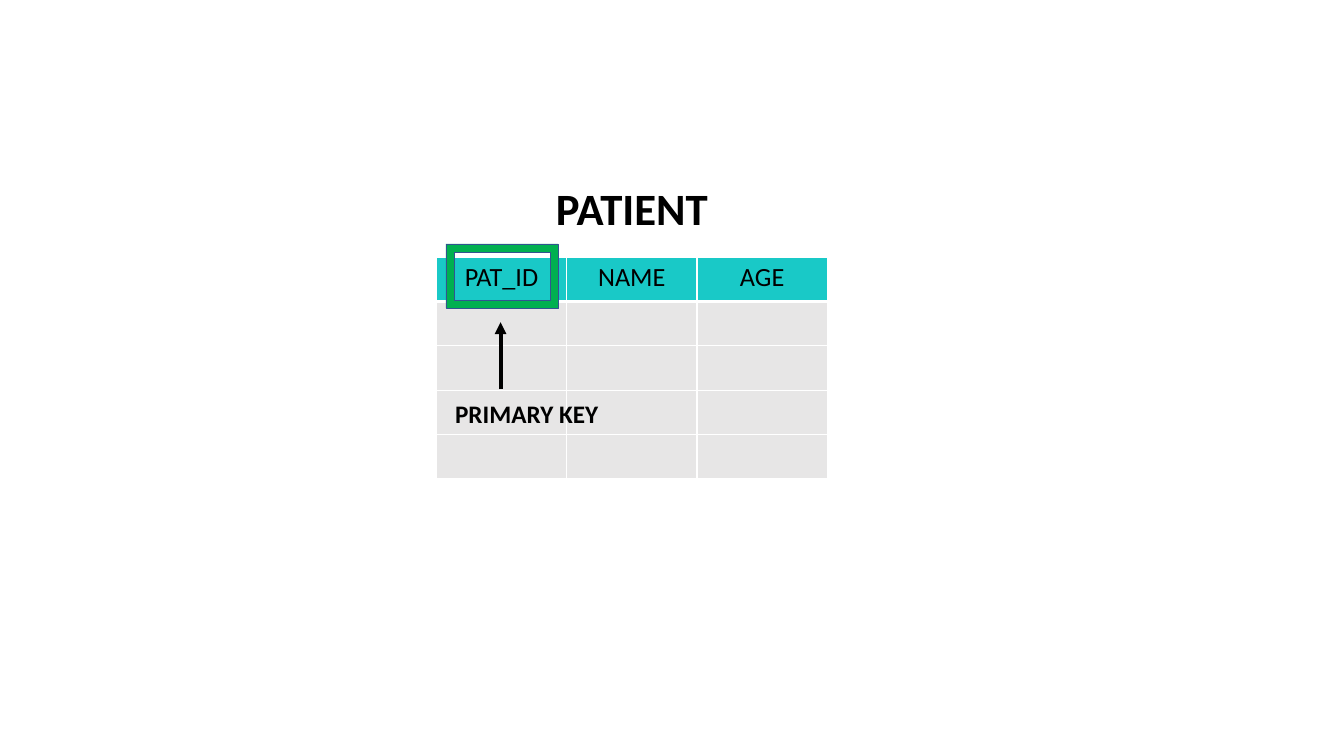
import pptx
import pptx.util
import pptx.dml.color
import pptx.enum.shapes
import pptx.enum.text
import pptx.oxml.ns
import lxml.etree

PX = 9144
FONT = "Calibri"
BLACK, WHITE = "000000", "FFFFFF"
TEAL, GREY, GREEN, NAVY = "19C9C7", "E7E6E6", "00B050", "325491"
COLUMNS = ["PAT_ID", "NAME", "AGE"]
EMPTY_ROWS = 4


def px(value):
    return pptx.util.Emu(value * PX)


def color(code):
    return pptx.dml.color.RGBColor.from_string(code)


def add_element(parent, tag, **attributes):
    return lxml.etree.SubElement(parent, pptx.oxml.ns.qn(tag), attributes)


def write(text_frame, text, size, bold=False, align="LEFT"):
    para = text_frame.paragraphs[0]
    para.alignment = getattr(pptx.enum.text.PP_ALIGN, align)
    span = para.add_run()
    span.text = text
    font_format = {"name": FONT, "size": pptx.util.Pt(size), "bold": bold}
    for name, value in font_format.items():
        setattr(span.font, name, value)
    span.font.color.rgb = color(BLACK)


def add_label(page, box, text, size, align="LEFT"):
    text_frame = page.shapes.add_textbox(*map(px, box)).text_frame
    text_frame.word_wrap = True
    text_frame.auto_size = pptx.enum.text.MSO_AUTO_SIZE.SHAPE_TO_FIT_TEXT
    write(text_frame, text, size, True, align)


def style_cell(cell, fill, bottom_width):
    margins = {"margin_left": 11, "margin_right": 11, "margin_top": 5, "margin_bottom": 5}
    for name, value in margins.items():
        setattr(cell, name, px(value))
    properties = cell._tc.get_or_add_tcPr()
    widths = {"a:lnL": 1, "a:lnR": 1, "a:lnT": 1, "a:lnB": bottom_width}
    for tag, width in widths.items():
        border = add_element(properties, tag, w=str(pptx.util.Pt(width)))
        add_element(add_element(border, "a:solidFill"), "a:srgbClr", val=WHITE)
    cell.fill.solid()
    cell.fill.fore_color.rgb = color(fill)


def add_patient_table(page, box):
    table = page.shapes.add_table(EMPTY_ROWS + 1, len(COLUMNS), *map(px, box)).table
    table.first_row = table.horz_banding = False
    for row_index, row in enumerate(table.rows):
        is_header = row_index == 0
        for cell, heading in zip(row.cells, COLUMNS):
            style_cell(cell, TEAL if is_header else GREY, 3 if is_header else 1)
            if is_header:
                write(cell.text_frame, heading, 20, align="CENTER")


def add_key_frame(page, box):
    frame = page.shapes.add_shape(pptx.enum.shapes.MSO_SHAPE.FRAME, *map(px, box))
    frame.rotation = 180
    frame.shadow.inherit = False
    frame.fill.solid()
    frame.fill.fore_color.rgb = color(GREEN)
    frame.line.color.rgb = color(NAVY)
    frame.line.width = pptx.util.Pt(0.25)


def add_arrow(page, start, end):
    arrow = page.shapes.add_connector(
        pptx.enum.shapes.MSO_CONNECTOR.STRAIGHT, *map(px, start + end))
    arrow.line.color.rgb = color(BLACK)
    arrow.line.width = pptx.util.Pt(3)
    add_element(arrow.line._get_or_add_ln(), "a:tailEnd", type="triangle")
    add_element(arrow._element.spPr, "a:effectLst")


def add_key_marker(page, box):
    left, top, width, height = box
    add_key_frame(page, (left, top, width, 68))
    add_arrow(page, (left + 58, top + 154), (left + 58, top + 83))
    add_label(page, (left, top + height - 42, 211, 42), "PRIMARY KEY", 19.2)


def add_patient_entity(page, box):
    left, top, width, height = box
    add_patient_table(page, (left, top + 86, width, height - 86))
    add_label(page, (left + (width - 198) // 2, top, 198, 68), "PATIENT", 34.1, "CENTER")
    add_key_marker(page, (left + 10, top + 72, 119, 201))


def main():
    deck = pptx.Presentation()
    deck.slide_width, deck.slide_height = px(1423), px(800)
    page = deck.slides.add_slide(deck.slide_layouts[6])
    page.background.fill.solid()
    page.background.fill.fore_color.rgb = color(WHITE)
    add_patient_entity(page, (462, 186, 414, 321))
    deck.save("out.pptx")


if __name__ == "__main__":
    main()
